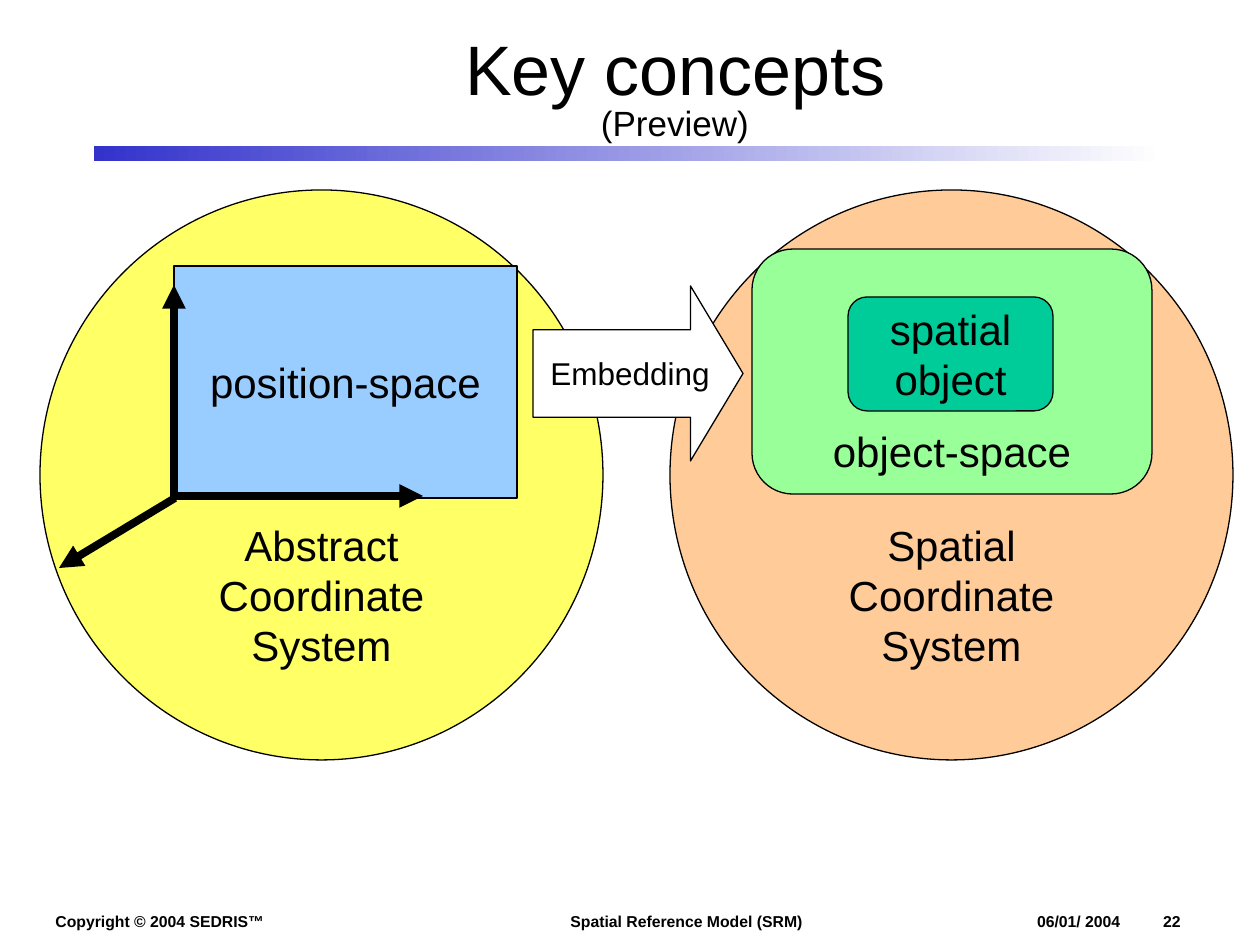
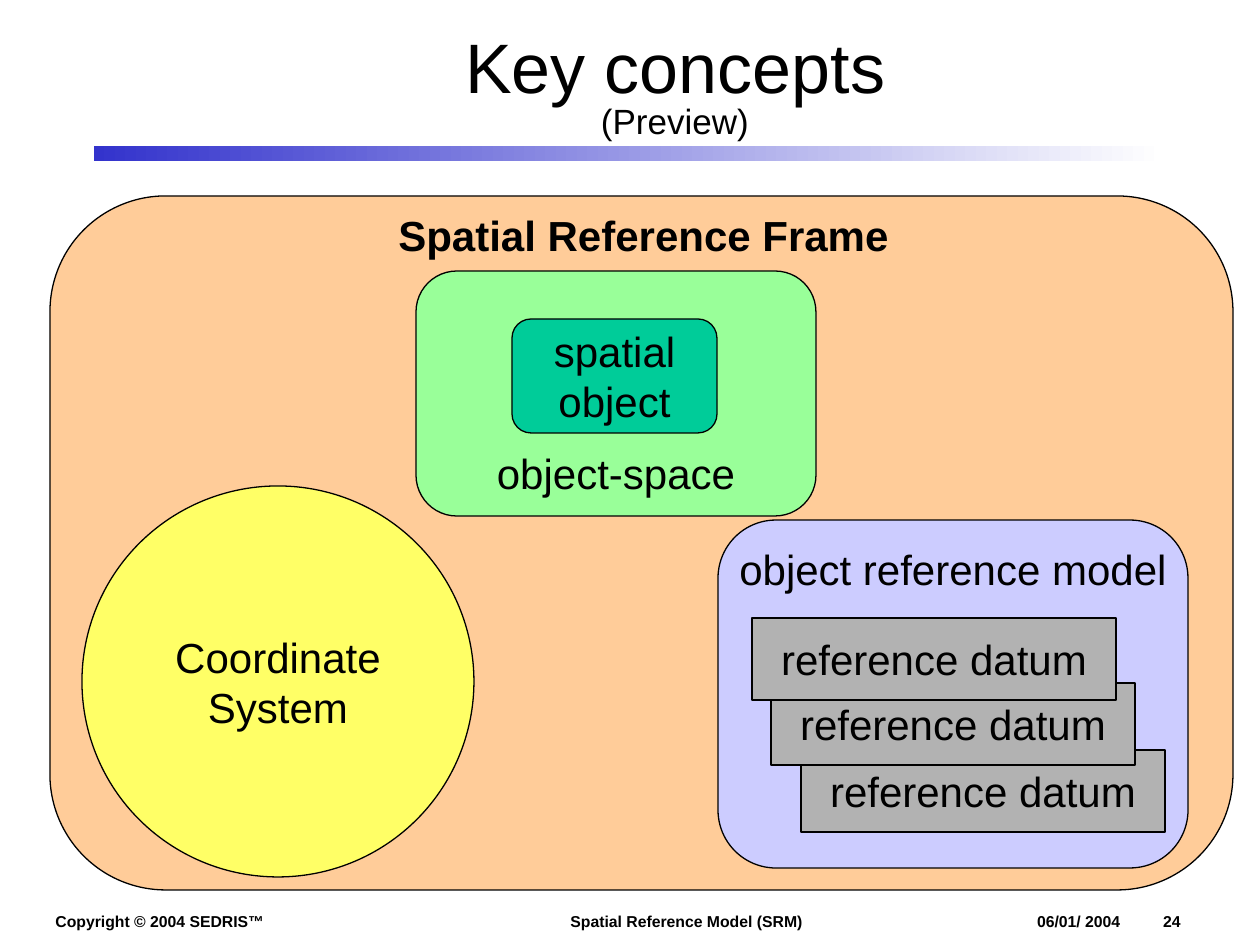
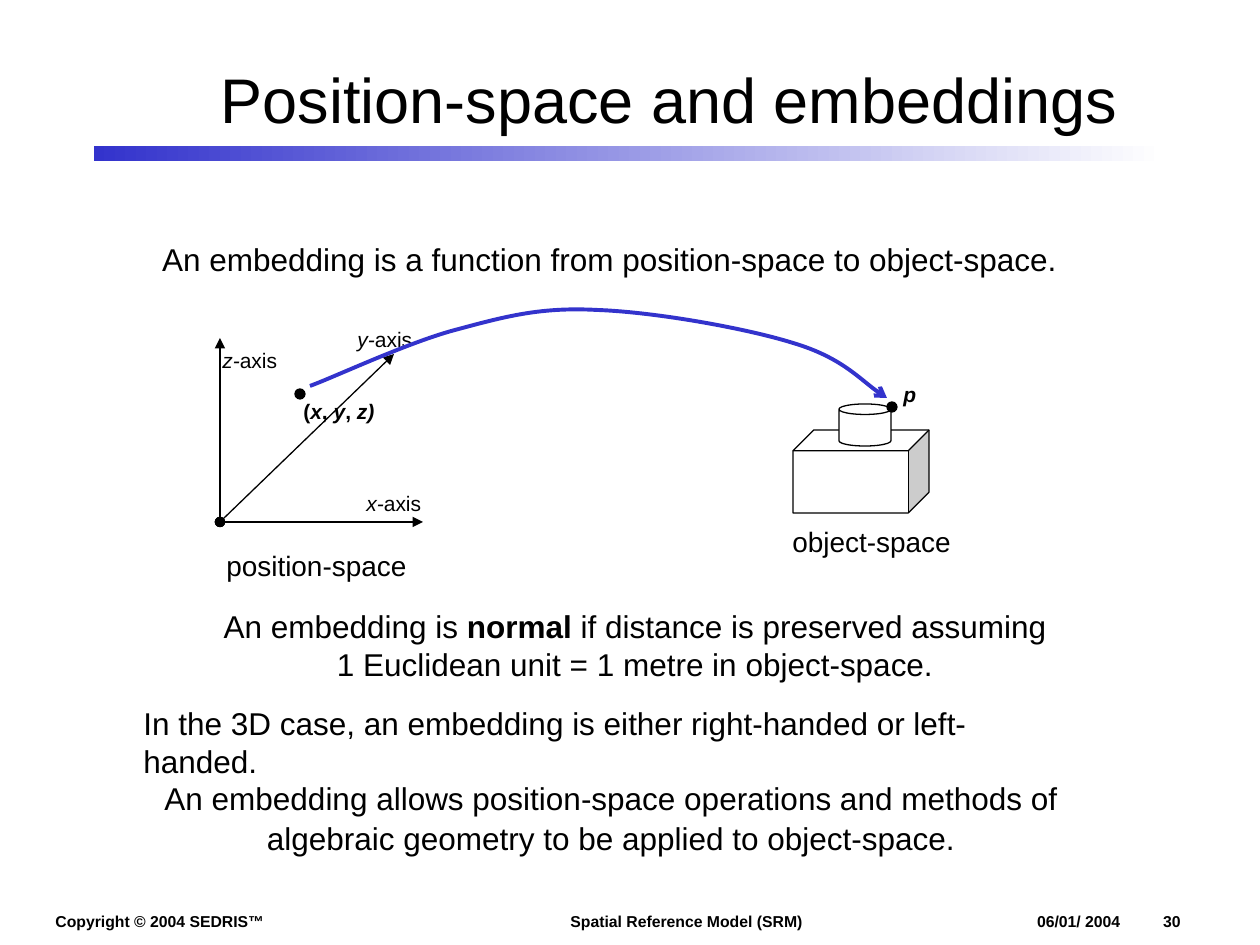
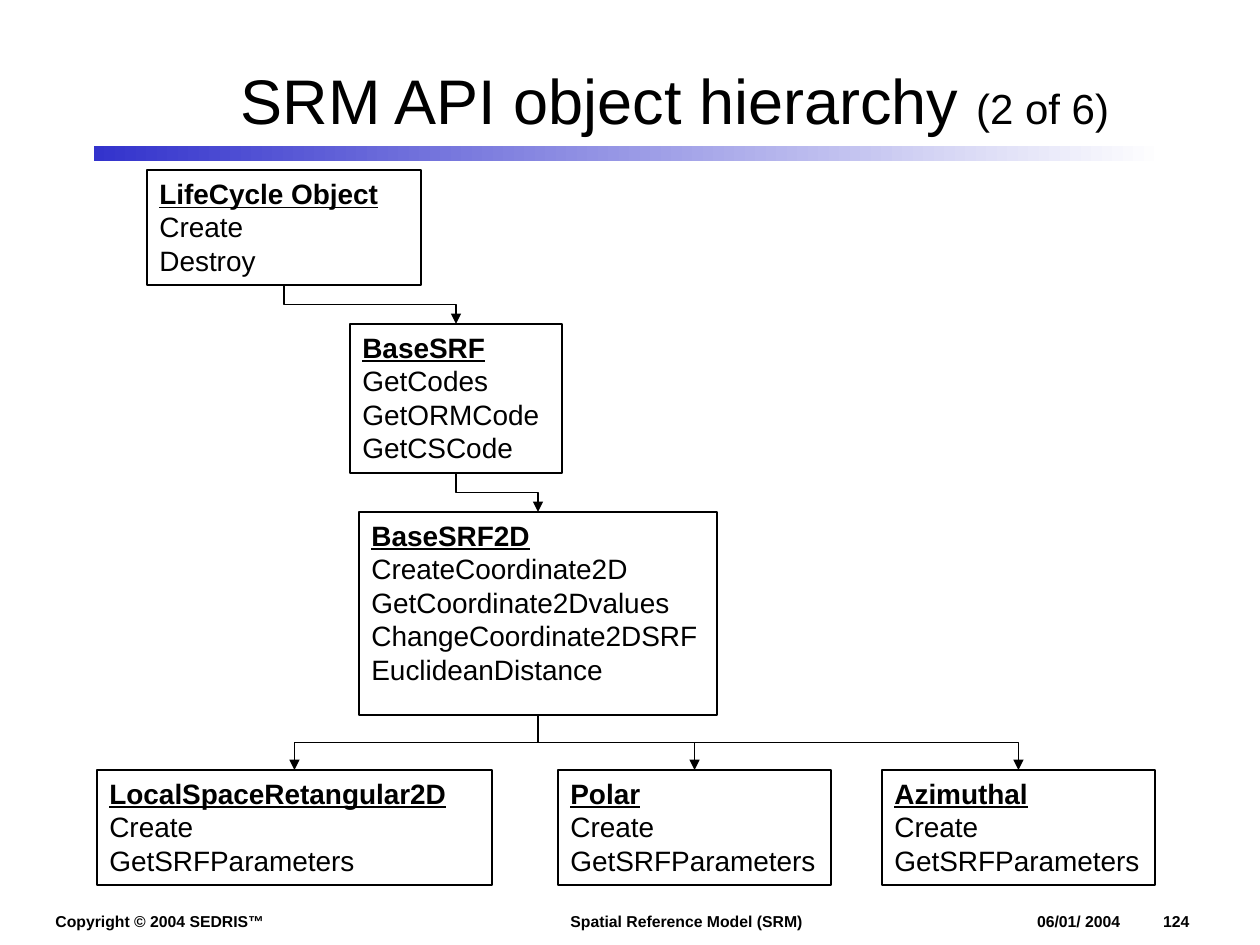
from dataclasses import dataclass

from lxml import etree
from pptx import Presentation
from pptx import util as u
from pptx.dml.color import RGBColor
from pptx.enum import shapes, text
from pptx.oxml import ns

EMU_PER_PX = 914400 / 126


@dataclass(frozen=True)
class Theme:
    font: str = "Arial"
    black: str = "000000"
    white: str = "FFFFFF"
    blue: str = "3333CC"
    yellow: str = "FFFF66"
    orange: str = "FFCC99"
    green: str = "99FF99"
    teal: str = "00CC99"
    sky: str = "99CCFF"
    lilac: str = "CCCCFF"
    grey: str = "B2B2B2"
    title: int = 36
    preview_title: int = 40
    subtitle: int = 20
    label: int = 24
    body: int = 18
    caption: int = 16
    axis: int = 12
    footer: int = 9
    thin: float = 0.75
    curve: float = 2.25
    thick: float = 4.5


THEME = Theme()
LEFT, CENTER = text.PP_ALIGN.LEFT, text.PP_ALIGN.CENTER
TOP, MIDDLE, BOTTOM = (text.MSO_ANCHOR.TOP, text.MSO_ANCHOR.MIDDLE,
                       text.MSO_ANCHOR.BOTTOM)
KIND = shapes.MSO_SHAPE
BOLD, ITALIC, PLAIN = {"bold": True}, {"italic": True}, {}
BOLD_ITALIC = {**BOLD, **ITALIC}


def px(*lengths):
    return [u.Emu(round(length * EMU_PER_PX)) for length in lengths]


def rgb(color):
    return RGBColor.from_string(color)


# Text

def add_tab_stop(paragraph, position):
    properties = paragraph._p.get_or_add_pPr()
    tabs = etree.SubElement(properties, ns.qn("a:tabLst"))
    etree.SubElement(tabs, ns.qn("a:tab"), pos=str(px(position)[0]), algn="l")


def style_font(font, **style):
    for name, value in style.items():
        setattr(font, name, value)


def write_paragraph(paragraph, line, size, align=LEFT, tab=None,
                    spacing=None, after=None, **style):
    """Write a string, or a list of (string, style) runs; "\n" breaks the line."""
    if tab:
        add_tab_stop(paragraph, tab)
    paragraph.alignment = align
    if spacing:
        paragraph.line_spacing = spacing
    if after:
        paragraph.space_after = u.Pt(after)
    style_font(paragraph.font, name=THEME.font, size=u.Pt(size), **style)
    paragraph.font.color.rgb = rgb(THEME.black)
    runs = [(line, PLAIN)] if isinstance(line, str) else line
    for words, run_style in runs:
        if words == "\n":
            paragraph.add_line_break()
            continue
        run = paragraph.add_run()
        run.text = words
        style_font(run.font, **run_style)


def write(shape, lines, size, anchor=TOP, wrap=True, **options):
    frame = shape.text_frame
    frame.word_wrap = wrap
    frame.vertical_anchor = anchor
    for index, line in enumerate(lines):
        paragraph = frame.add_paragraph() if index else frame.paragraphs[0]
        write_paragraph(paragraph, line, size, **options)


def add_text(slide, box, lines, size, **options):
    shape = slide.shapes.add_textbox(*px(*box))
    write(shape, lines, size, **options)
    return shape


# Shapes and lines

def add_figure(slide, kind, box, fill, lines=(), anchor=MIDDLE, adjust=()):
    shape = slide.shapes.add_shape(kind, *px(*box))
    shape.shadow.inherit = False
    shape.fill.solid()
    shape.fill.fore_color.rgb = rgb(fill)
    shape.line.color.rgb = rgb(THEME.black)
    shape.line.width = u.Pt(THEME.thin)
    for index, value in enumerate(adjust):
        shape.adjustments[index] = value
    if lines:
        write(shape, lines, THEME.label, anchor, wrap=False, align=CENTER)
    return shape


def style_line(shape, width, color=THEME.black, tail="triangle", head=None):
    shape.line.color.rgb = rgb(color)
    shape.line.width = u.Pt(width)
    outline = shape.line._get_or_add_ln()
    for end, kind in (("a:headEnd", head), ("a:tailEnd", tail)):
        if kind:
            etree.SubElement(outline, ns.qn(end), type=kind)


def add_connector(slide, kind, *ends):
    connector = slide.shapes.add_connector(kind, *px(*ends))
    etree.SubElement(connector._element.spPr, ns.qn("a:effectLst"))
    return connector


def add_axis(slide, start, end, width, head=None):
    axis = add_connector(slide, shapes.MSO_CONNECTOR.STRAIGHT, *start, *end)
    style_line(axis, width, head=head)


def add_branch(slide, parent, child):
    """Join parent's bottom to child's top by an elbow that leaves downwards."""
    connector = add_connector(slide, shapes.MSO_CONNECTOR.ELBOW, 0, 0, 1, 1)
    connector.begin_connect(parent, 2)
    connector.end_connect(child, 0)
    start_x, end_x = (box.left + box.width // 2 for box in (parent, child))
    start_y, end_y = parent.top + parent.height, child.top
    drop, shift = end_y - start_y, abs(end_x - start_x)
    connector.left = (start_x + end_x - drop) // 2
    connector.top = (start_y + end_y - shift) // 2
    connector.width, connector.height = drop, shift
    frame = connector._element.spPr.find(ns.qn("a:xfrm"))
    rightwards = end_x > start_x
    frame.set("rot", str((270 if rightwards else 90) * 60000))
    frame.set("flipH", "1" if rightwards else "0")
    frame.set("flipV", "0")
    style_line(connector, THEME.thin)


def add_curve(slide, start, points):
    """Draw a Bézier curve: two control points and an end for each section."""
    builder = slide.shapes.build_freeform(*start, scale=EMU_PER_PX)
    builder.add_line_segments(points, close=False)
    curve = builder.convert_to_shape()
    curve.shadow.inherit = False
    curve.fill.background()
    outline = curve._element.spPr.find(".//" + ns.qn("a:path"))
    steps = outline.findall(ns.qn("a:lnTo"))
    for first in range(0, len(steps), 3):
        section = etree.SubElement(outline, ns.qn("a:cubicBezTo"))
        for step in steps[first:first + 3]:
            section.append(step[0])
            outline.remove(step)
    style_line(curve, THEME.curve, THEME.blue, tail="arrow")


# Parts shared by the slides

def add_footer(slide, number):
    footer = {"size": THEME.footer, "wrap": False, **BOLD}
    add_text(slide, (43, 906, 234, 31), ["Copyright © 2004 SEDRIS™"], **footer)
    add_text(slide, (558, 906, 257, 31), ["Spatial Reference Model (SRM)"],
             **footer)
    date = add_text(slide, (1037, 912, 181, 19), [f"06/01/ 2004\t{number}"],
                    THEME.footer, anchor=BOTTOM, tab=126, **BOLD)
    frame = date.text_frame
    frame.margin_left = frame.margin_right = 0
    frame.margin_top = frame.margin_bottom = 0


def add_band(slide):
    band = slide.shapes.add_shape(KIND.RECTANGLE, *px(94, 146, 1071, 15))
    band.shadow.inherit = False
    band.line.fill.background()
    band.fill.gradient()
    band.fill.gradient_angle = 0
    for stop, color in zip(band.fill.gradient_stops, (THEME.blue, THEME.white)):
        stop.color.rgb = rgb(color)


def add_slide(presentation, number):
    slide = presentation.slides.add_slide(presentation.slide_layouts[6])
    add_footer(slide, number)
    add_band(slide)
    return slide


def add_title(slide, line, left=152, top=31, size=THEME.title, spacing=None):
    add_text(slide, (left, top, 1046, 137), [line], size, anchor=MIDDLE,
             align=CENTER, spacing=spacing)


def add_preview_title(slide, top):
    add_title(slide, [("Key concepts", PLAIN), ("\n", PLAIN),
                      ("(Preview)", {"size": u.Pt(THEME.subtitle)})],
              top=top, size=THEME.preview_title, spacing=0.8)


def add_object_space(slide, left, top):
    add_figure(slide, KIND.ROUNDED_RECTANGLE, (left, top, 400, 245),
               THEME.green, ["object-space"], BOTTOM)
    add_figure(slide, KIND.ROUNDED_RECTANGLE, (left + 96, top + 48, 205, 114),
               THEME.teal, ["spatial", "object"])


# Slides

def build_coordinate_systems(presentation):
    slide = add_slide(presentation, 22)
    for left, fill, name in ((670, THEME.orange, "Spatial"),
                             (40, THEME.yellow, "Abstract")):
        add_figure(slide, KIND.OVAL, (left, 190, 563, 570), fill,
                   [name, "Coordinate", "System"], BOTTOM)
    add_object_space(slide, 752, 249)
    add_preview_title(slide, 24)

    # Position-space with its three axes
    add_figure(slide, KIND.RECTANGLE, (174, 266, 343, 232), THEME.sky,
               ["position-space"])
    for start, end in (((175, 496), (423, 496)), ((174, 499), (174, 285)),
                       ((175, 498), (59, 568))):
        add_axis(slide, start, end, THEME.thick)

    # Embedding arrow
    add_figure(slide, KIND.RIGHT_ARROW, (533, 286, 210, 175), THEME.white,
               adjust=(0.5, 0.3))
    add_text(slide, (538, 348, 185, 50), ["Embedding"], THEME.body, wrap=False)


def build_reference_frame(presentation):
    slide = add_slide(presentation, 24)
    add_figure(slide, KIND.ROUNDED_RECTANGLE, (50, 196, 1183, 694),
               THEME.orange)
    add_text(slide, (386, 203, 515, 63), ["Spatial Reference Frame"],
             THEME.label, wrap=False, **BOLD)
    add_object_space(slide, 416, 271)
    add_preview_title(slide, 22)

    # Object reference model with stacked datums
    add_figure(slide, KIND.ROUNDED_RECTANGLE, (718, 520, 470, 348),
               THEME.lilac, ["object reference model"], TOP)
    for left, top in ((801, 750), (771, 683), (752, 618)):
        add_figure(slide, KIND.RECTANGLE, (left, top, 364, 82), THEME.grey,
                   ["reference datum"])
    add_figure(slide, KIND.OVAL, (82, 486, 392, 391), THEME.yellow,
               ["Coordinate", "System"])


def build_embeddings(presentation):
    slide = add_slide(presentation, 30)
    add_title(slide, "Position-space and embeddings", left=146, top=30)

    # Position-space axes
    origin = (220, 522)
    for name, tip, label in (("z", (220, 338), (210, 341)),
                             ("x", (423, 522), (354, 484)),
                             ("y", (394, 354), (345, 320))):
        add_axis(slide, origin, tip, THEME.thin, head="oval")
        add_text(slide, (*label, 89, 40),
                 [[(f"{name}-", ITALIC), ("axis", PLAIN)]], THEME.axis)
    add_text(slide, (214, 542, 237, 40), ["position-space"], THEME.caption)
    point = [("(", BOLD), ("x", BOLD_ITALIC), (", ", BOLD),
             ("y", BOLD_ITALIC), (", ", BOLD), ("z)", BOLD_ITALIC)]
    add_text(slide, (291, 392, 102, 38), [point], THEME.axis, wrap=False)

    # Object-space solid
    solid = add_figure(slide, KIND.CUBE, (793, 430, 136, 83), THEME.white)
    solid.adjustments[0] = 0.25
    add_figure(slide, KIND.CAN, (839, 404, 52, 42), THEME.white,
               adjust=(0.25,))
    add_text(slide, (780, 518, 237, 40), ["object-space"], THEME.caption)
    add_text(slide, (891, 375, 43, 40), ["p"], THEME.axis, **BOLD_ITALIC)

    # Embedded point, its image and the mapping between them
    for left, top in ((887, 402), (295, 389)):
        add_figure(slide, KIND.OVAL, (left, top, 10, 10), THEME.black)
    add_curve(slide, (310, 386), [
        (335, 377), (411, 341), (459, 329),
        (507, 316), (542, 307), (597, 310),
        (654, 312), (745, 328), (793, 343),
        (840, 357), (868, 387), (887, 398)])

    # Statements
    statement = {"size": THEME.body, "align": CENTER, "after": 12}
    add_text(slide, (129, 234, 961, 72),
             ["An embedding is a function from position-space to object-space."],
             **statement)
    add_text(slide, (104, 601, 1062, 110),
             [[("An embedding is ", PLAIN), ("normal", BOLD),
               (" if distance is preserved assuming", PLAIN), ("\n", PLAIN),
               ("1 Euclidean unit = 1 metre in object-space.", PLAIN)]],
             **statement)
    add_text(slide, (131, 698, 961, 50),
             ["In the 3D case, an embedding is either right-handed or "
              "left-handed."], THEME.body, wrap=False)
    add_text(slide, (151, 789, 920, 93),
             ["An embedding allows position-space operations and methods of",
              "algebraic geometry to be applied to object-space."],
             spacing=0.5, **statement)


def add_class_box(slide, box, name, methods, rule_end=None):
    """Draw a class; its underlined name runs on to rule_end by a tab."""
    shape = add_figure(slide, KIND.RECTANGLE, box, THEME.white)
    heading = [(name + ("\t" if rule_end else ""),
                {"bold": True, "underline": True})]
    write(shape, [heading, *methods], THEME.caption, tab=rule_end)
    return shape


def build_hierarchy(presentation):
    slide = add_slide(presentation, 124)
    life_cycle = add_class_box(slide, (147, 170, 274, 115), "LifeCycle Object",
                               ["Create", "Destroy"])
    base = add_class_box(slide, (350, 324, 212, 149), "BaseSRF",
                         ["GetCodes", "GetORMCode", "GetCSCode"], 185)
    base_2d = add_class_box(
        slide, (359, 512, 358, 203), "BaseSRF2D",
        ["CreateCoordinate2D", "GetCoordinate2Dvalues",
         "ChangeCoordinate2DSRF", "EuclideanDistance"], 329)
    add_branch(slide, life_cycle, base)
    add_branch(slide, base, base_2d)
    for left, width, name, rule_end in (
            (97, 395, "LocalSpaceRetangular2D", 368),
            (558, 273, "Polar", 240), (882, 273, "Azimuthal", 242)):
        leaf = add_class_box(slide, (left, 770, width, 115), name,
                             ["Create", "GetSRFParameters"], rule_end)
        add_branch(slide, base_2d, leaf)
    add_title(slide, [("SRM API object hierarchy ", PLAIN),
                      ("(2 of 6)", {"size": u.Pt(THEME.label)})])


def main():
    presentation = Presentation()
    presentation.slide_width, presentation.slide_height = px(1260, 945)
    build_coordinate_systems(presentation)
    build_reference_frame(presentation)
    build_embeddings(presentation)
    build_hierarchy(presentation)
    presentation.save("out.pptx")


if __name__ == "__main__":
    main()
